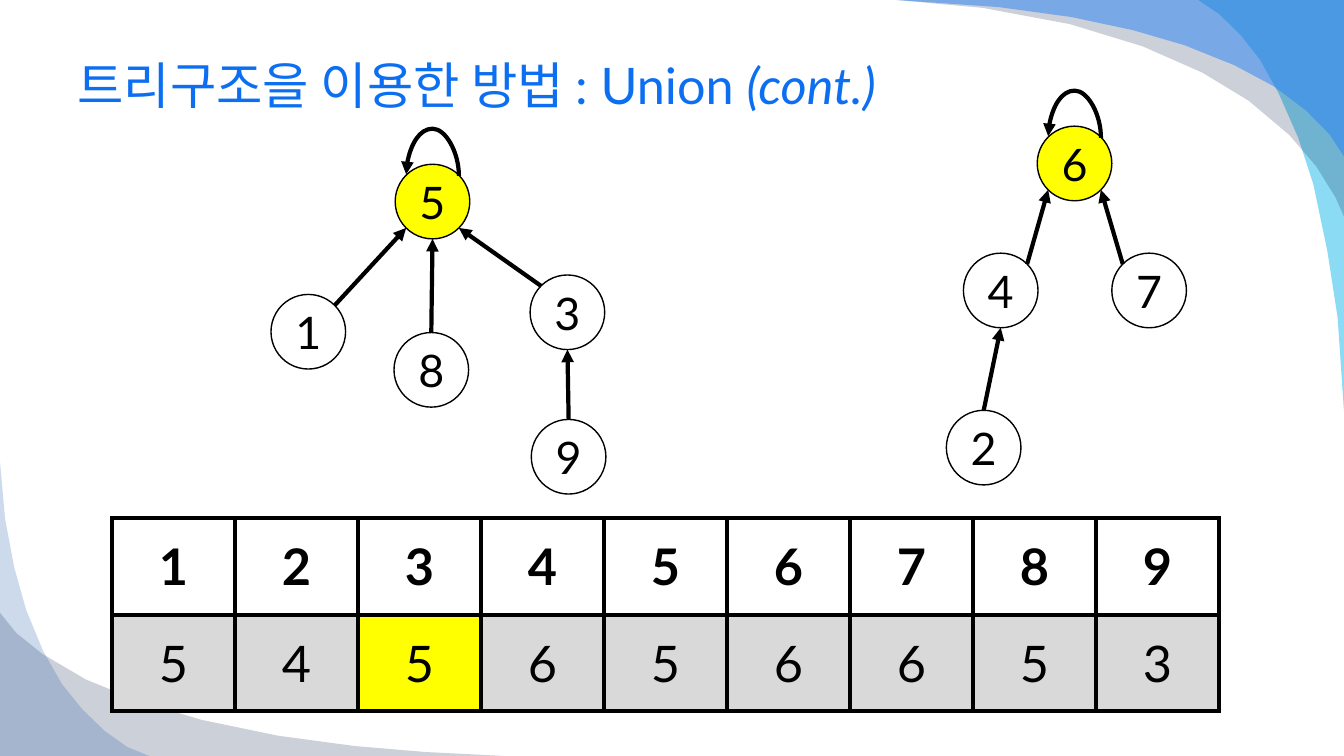
"""Build the slide on union by trees with its parent table."""
from math import copysign, sqrt

from pptx import Presentation
from pptx.dml.color import RGBColor as Rgb
from pptx.enum.shapes import MSO_CONNECTOR as Link, MSO_SHAPE as Kind
from pptx.enum.text import MSO_ANCHOR as Anchor, PP_ALIGN as Align
from pptx.oxml.ns import qn
from pptx.util import Cm, Pt
from lxml.etree import SubElement as Sub

FONT = "Lato"
TITLE = [("트리구조을 이용한 방법 : Union ", False), ("(cont.)", True)]
BLACK, WHITE, GRAY, YELLOW = "000000", "FFFFFF", "D9D9D9", "FFFF00"

NODES = {
    5: (9.96, 4.14), 1: (6.83, 7.42), 8: (9.93, 8.38),
    3: (13.36, 6.93), 9: (13.39, 10.57), 6: (26.14, 3.18),
    4: (24.28, 6.38), 7: (28.02, 6.38), 2: (23.85, 10.34),
}
PARENTS = [5, 4, 5, 6, 5, 6, 6, 5, 3]
CHANGED = 3
SIZE = 1.88
RISE = 1.19

TABLE = (2.82, 13.06)
COL, ROW = 3.1, 2.43

WAVES = [
    ("00B1E9", 45, (33.87, 0), [
        (30.2, 0), (30.73, 0.36), (31.27, 0.89), (31.75, 1.5), (32.23, 2.36),
        (32.72, 3.48), (33.1, 4.65), (33.45, 6.32), (33.71, 8), (33.87, 10.36)]),
    ("021741", 20, (33.87, 0), [
        (22.58, 0), (24.77, 0.2), (26.97, 0.61), (28.8, 1.17), (30.3, 1.83),
        (31.47, 2.54), (32.49, 3.4), (33.17, 4.19), (33.66, 4.98), (33.87, 5.46)]),
    ("247FF4", 49, (33.87, 0), [
        (22.58, 0), (25.17, 0.18), (27, 0.43), (28.55, 0.76), (29.85, 1.14),
        (31.12, 1.65), (32.11, 2.18), (32.92, 2.79), (33.5, 3.38), (33.87, 3.94)]),
    ("021741", 20, (0, 19.05), [
        (0, 15.44), (0.41, 15.95), (1.07, 16.48), (2.16, 17.12), (3.53, 17.68),
        (5.08, 18.14), (7.01, 18.54), (8.94, 18.8), (10.72, 18.95), (12.7, 19.05)]),
    ("084AA1", 20, (0, 19.05), [
        (0, 11.63), (0.13, 13.08), (0.36, 14.3), (0.66, 15.37), (1.09, 16.41),
        (1.57, 17.25), (2.08, 17.88), (2.64, 18.42), (3.2, 18.82), (3.76, 19.05)]),
]


def paint(fill, code):
    fill.solid()
    fill.fore_color.rgb = Rgb.from_string(code)


def style(run, size, code, bold=False, slant=False):
    font = run.font
    font.name, font.size, font.bold, font.italic = FONT, Pt(size), bold, slant
    font.color.rgb = Rgb.from_string(code)


def write(frame, text, size, bold=False):
    frame.text = str(text)
    line = frame.paragraphs[0]
    line.alignment = Align.CENTER
    style(line.runs[0], size, BLACK, bold)


def wave(slide, code, alpha, corner, curve):
    pts = [(Cm(x), Cm(y)) for x, y in [corner, *curve]]
    pen = slide.shapes.build_freeform(*pts[0])
    pen.add_line_segments(pts[1:], close=True)
    shape = pen.convert_to_shape()
    shape.shadow.inherit = False
    paint(shape.fill, code)
    shape.line.fill.background()
    tone = shape.element.spPr.find(qn("a:solidFill"))[0]
    Sub(tone, qn("a:alpha"), val=str(alpha * 1000))


def head(slide):
    title = slide.shapes.title
    title.left, title.top, title.width, title.height = Cm(1.7), Cm(0.85), Cm(30.48), Cm(2.56)
    title.text_frame.vertical_anchor = Anchor.MIDDLE
    line = title.text_frame.paragraphs[0]
    line.alignment = Align.LEFT
    for text, slant in TITLE:
        run = line.add_run()
        run.text = text
        style(run, 36, "0C6FF2", slant=slant)
    slide.shapes.element.append(title.element)


def node(slide, key):
    x, y = NODES[key]
    shape = slide.shapes.add_shape(Kind.OVAL, Cm(x), Cm(y), Cm(SIZE), Cm(SIZE))
    shape.shadow.inherit = False
    root = PARENTS[key - 1] == key
    paint(shape.fill, YELLOW if root else WHITE)
    paint(shape.line.fill, BLACK)
    shape.line.width = Pt(1)
    shape.text_frame.vertical_anchor = Anchor.MIDDLE
    write(shape.text_frame, key, 32)


def arrow(slide, kind, start, end):
    link = slide.shapes.add_connector(kind, *map(Cm, start + end))
    paint(link.line.fill, BLACK)
    link.line.width = Pt(3)
    props = link.element.spPr
    Sub(props.find(qn("a:ln")), qn("a:tailEnd"), type="triangle")
    Sub(props, qn("a:effectLst"))
    return link


def rim(key, side, level):
    """Give the rim point of a node at a side (-1, 0, 1) and level (-1, 1)."""
    x, y = NODES[key]
    half = SIZE / 2
    reach = half / sqrt(2) if side else half
    return x + half + side * reach, y + half + level * reach


def edge(slide, kid, top):
    gap = NODES[top][0] - NODES[kid][0]
    side = copysign(1, gap) if abs(gap) > SIZE / 2 else 0
    arrow(slide, Link.STRAIGHT, rim(kid, side, -1), rim(top, -side, 1))


def loop(slide, key):
    (left, y), (right, _) = rim(key, -1, -1), rim(key, 1, -1)
    mid, half, thin = (left + right) / 2, (right - left) / 2, 0.04
    link = arrow(slide, Link.CURVE, (mid - thin / 2, y + half), (mid + thin / 2, y - half))
    link.element.spPr.find(qn("a:xfrm")).set("rot", "16200000")
    geom = link.element.spPr.find(qn("a:prstGeom"))
    guides = geom.find(qn("a:avLst"))
    if guides is None:
        guides = Sub(geom, qn("a:avLst"))
    Sub(guides, qn("a:gd"), name="adj1", fmla=f"val {round(RISE / thin * 100000)}")


def frame(cell):
    props = cell._tc.get_or_add_tcPr()
    for side in "LRTB":
        line = Sub(props, qn(f"a:ln{side}"), w=str(Pt(3)))
        Sub(Sub(line, qn("a:solidFill")), qn("a:srgbClr"), val=BLACK)


def grid(slide):
    count = len(PARENTS)
    rows = [range(1, count + 1), PARENTS]
    table = slide.shapes.add_table(
        2, count, *map(Cm, TABLE), Cm(COL * count), Cm(ROW * 2)).table
    table.first_row = table.horz_banding = False
    for col in table.columns:
        col.width = Cm(COL)
    for r, row in enumerate(rows):
        table.rows[r].height = Cm(ROW)
        for c, value in enumerate(row):
            cell = table.cell(r, c)
            cell.vertical_anchor = Anchor.MIDDLE
            write(cell.text_frame, value, 36, r == 0)
            frame(cell)
            mark = YELLOW if c + 1 == CHANGED else GRAY
            paint(cell.fill, mark if r else WHITE)


def main():
    deck = Presentation()
    deck.slide_width, deck.slide_height = Cm(33.87), Cm(19.05)
    slide = deck.slides.add_slide(deck.slide_layouts[5])
    for item in WAVES:
        wave(slide, *item)
    head(slide)
    for key in NODES:
        node(slide, key)
    for key, top in enumerate(PARENTS, 1):
        if key == top:
            loop(slide, key)
        else:
            edge(slide, key, top)
    grid(slide)
    deck.save("out.pptx")


if __name__ == "__main__":
    main()
